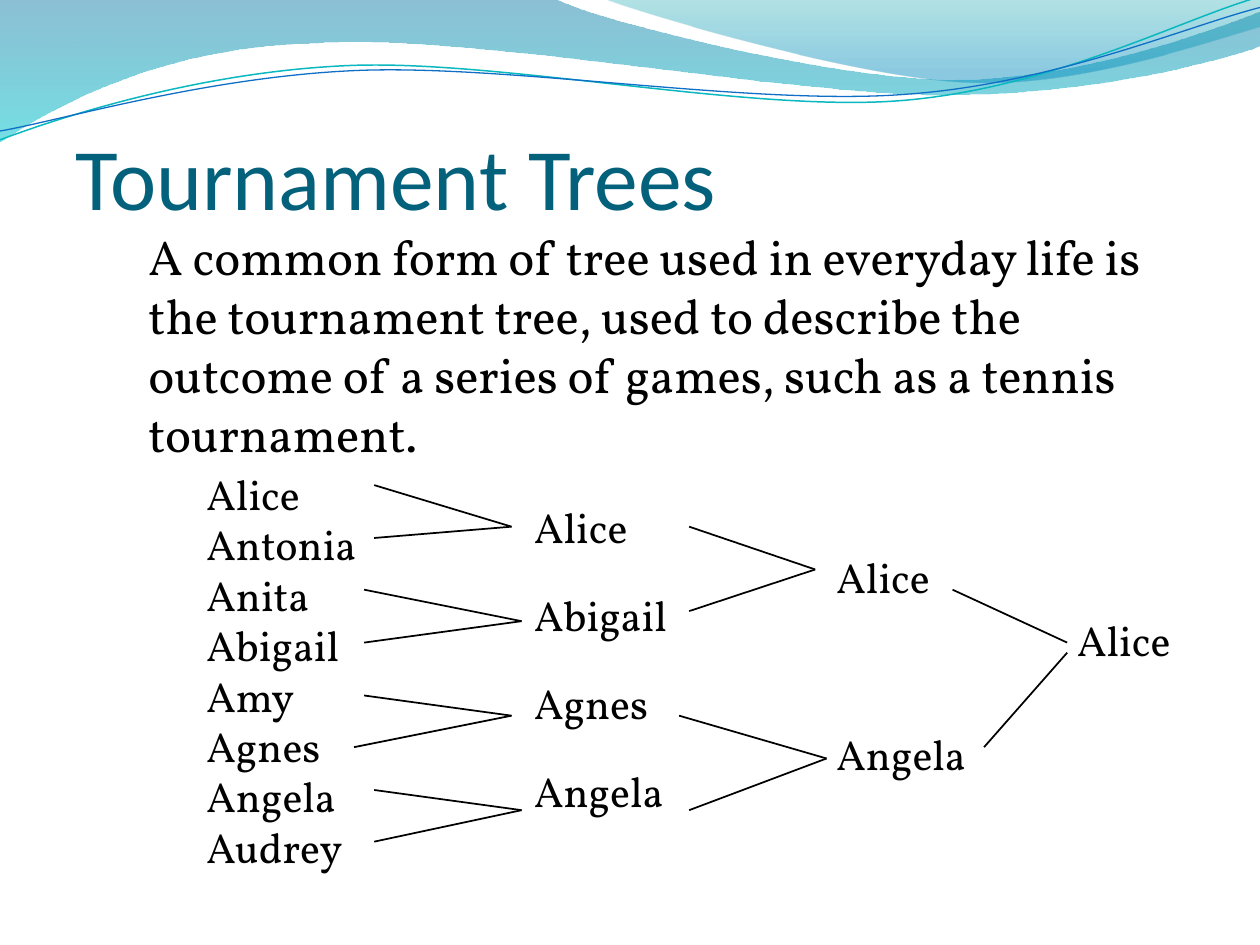
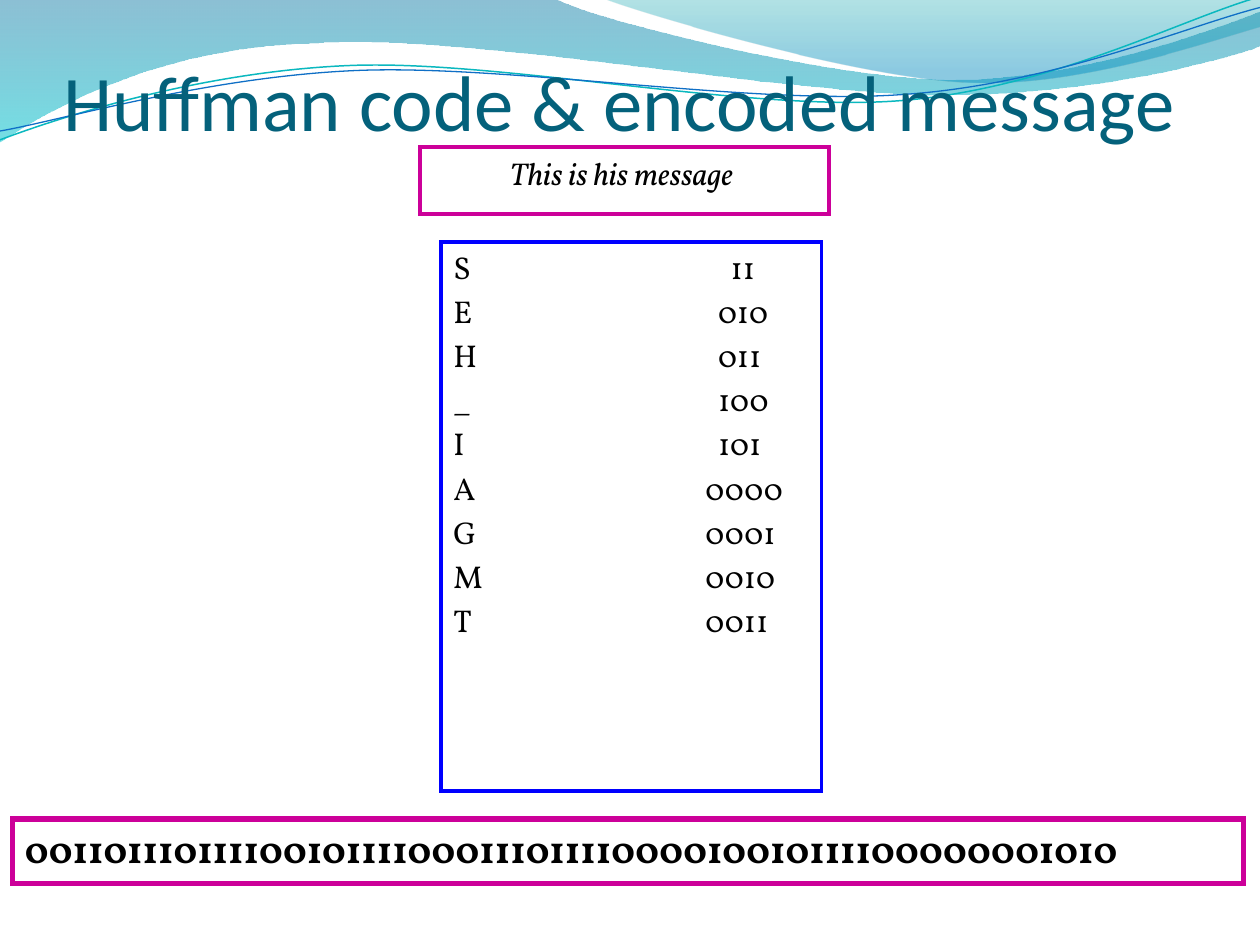
"""Build two slides on tournament trees and Huffman coding."""
import math

import lxml.etree
import pptx
import pptx.dml.color
import pptx.enum.shapes
import pptx.enum.text
import pptx.oxml.ns
import pptx.util

Inches = pptx.util.Inches
Pt = pptx.util.Pt
RGBColor = pptx.dml.color.RGBColor
Anchor = pptx.enum.text.MSO_ANCHOR
Align = pptx.enum.text.PP_ALIGN
qn = pptx.oxml.ns.qn

BLACK = RGBColor(0x00, 0x00, 0x00)
TITLE_TEAL = RGBColor(0x04, 0x61, 0x7B)
FRAME_BLUE = RGBColor(0x00, 0x00, 0xFF)
FRAME_MAGENTA = RGBColor(0xCC, 0x00, 0x99)
STRAND_TEAL = RGBColor(0x0A, 0xB8, 0xBF)
STRAND_BLUE = RGBColor(0x0F, 0x6F, 0xC6)
WAVE_BLUE = RGBColor(0x00, 0x74, 0xA1)
WAVE_CYAN = RGBColor(0x00, 0xC6, 0xCF)
CREST_TEAL = RGBColor(0x00, 0xA1, 0xA9)
CREST_BLUE = RGBColor(0x00, 0x8B, 0xBF)
TITLE_FONT = "Calibri"
BODY_FONT = "Vollkorn"
STRAND_TILT = -2.7

WAVE = [
    [(0, 0)], [(4.4, -0.01)],
    [(4.76, 0.17), (6.64, 0.63), (7.58, 0.63)],
    [(8.53, 0.63), (9.58, 0.26), (10, 0.09)],
    [(10.01, 0.36)],
    [(9.83, 0.44), (8.7, 0.76), (7.46, 0.75)],
    [(6.22, 0.75), (3.82, 0.28), (2.57, 0.34)],
    [(1.29, 0.36), (0.46, 0.83), (-0.01, 1.13)],
]
CREST = [
    [(4.79, -0.01)],
    [(5.09, 0.11), (6.82, 0.62), (7.69, 0.65)],
    [(8.56, 0.69), (9.61, 0.32), (10, 0.21)],
    [(10, 0)],
]
TEAL_STRAND = [
    [(0, 1.11)],
    [(0.48, 0.93), (1.58, 0.57), (2.77, 0.52)],
    [(3.95, 0.47), (5.93, 0.89), (7.13, 0.8)],
    [(8.33, 0.71), (9.38, 0.15), (9.98, -0.02)],
]
BLUE_STRAND = [
    [(0, 1.04)],
    [(0.47, 0.96), (1.64, 0.61), (2.83, 0.56)],
    [(4.03, 0.51), (5.97, 0.84), (7.17, 0.75)],
    [(8.36, 0.67), (9.41, 0.21), (10, 0.06)],
]

INTRO = ("A common form of tree used in everyday life is the tournament tree, "
         "used to describe the outcome of a series of games, such as a tennis "
         "tournament.")
ROUNDS = [
    ((1.54, 3.67, 1.4, 3.3), 0,
     ["Alice", "Antonia", "Anita", "Abigail", "Amy", "Agnes", "Angela", "Audrey"]),
    ((4.14, 3.93, 1.42, 2.78), 21.5, ["Alice", "Abigail", "Agnes", "Angela"]),
    ((6.54, 4.33, 1.26, 1.94), 72.2, ["Alice", "Angela"]),
    ((8.45, 4.83, 0.96, 0.5), 0, ["Alice"]),
]
MATCHES = [
    ((2.97, 3.85), (2.97, 4.27), (4.06, 4.18)),
    ((2.89, 4.68), (2.89, 5.1), (4.14, 4.93)),
    ((2.89, 5.52), (2.81, 5.93), (4.06, 5.68)),
    ((2.97, 6.27), (2.97, 6.68), (4.14, 6.43)),
    ((5.47, 4.18), (5.47, 4.85), (6.47, 4.52)),
    ((5.39, 5.68), (5.47, 6.43), (6.56, 6.02)),
]
FINAL = [((7.56, 4.68), (8.47, 5.1)), ((7.81, 5.93), (8.47, 5.18))]

HUFFMAN_CODES = {
    "S": "11", "E": "010", "H": "011", "_": "100", "I": "101",
    "A": "0000", "G": "0001", "M": "0010", "T": "0011",
}
ENCODED = "00110111011110010111100011101111000010010111100000001010"


def turn(segments, center, degrees):
    """Return the segments turned clockwise around a center."""
    cos, sin = math.cos(math.radians(degrees)), math.sin(math.radians(degrees))
    cx, cy = center
    return [[(cx + (x - cx) * cos - (y - cy) * sin, cy + (x - cx) * sin + (y - cy) * cos)
             for x, y in segment] for segment in segments]


def add_outline(slide, segments, close):
    """Add a freeform whose three-point segments are cubic curves."""
    points = [(Inches(x), Inches(y)) for segment in segments for x, y in segment]
    builder = slide.shapes.build_freeform(*points[0])
    builder.add_line_segments(points[1:], close=close)
    outline = builder.convert_to_shape()
    outline.shadow.inherit = False
    steps = iter(list(outline._element.iter(qn("a:lnTo"))))
    for segment in segments[1:]:
        first, *others = [next(steps) for _ in segment]
        if others:
            first.tag = qn("a:cubicBezTo")
        for step in others:
            first.append(step[0])
            step.getparent().remove(step)
    return outline


def add_band(slide, segments, stops):
    """Add a band with a see-through gradient running downwards."""
    band = add_outline(slide, segments, True)
    band.line.fill.background()
    band.fill.gradient()
    band.fill.gradient_angle = 270
    for stop, (position, color, _) in zip(band.fill.gradient_stops, stops):
        stop.position = position
        stop.color.rgb = color
    for tint, (_, _, opacity) in zip(band._element.iter(qn("a:srgbClr")), stops):
        lxml.etree.SubElement(tint, qn("a:alpha"), val=str(opacity * 1000))


def add_strand(slide, segments, center, color, width):
    """Add a thin curved line, tilted around its center."""
    strand = add_outline(slide, turn(segments, center, -STRAND_TILT), False)
    strand.rotation = STRAND_TILT
    strand.fill.background()
    strand.line.color.rgb = color
    strand.line.width = Pt(width)


def add_header(slide):
    """Draw the waves shared by all slides."""
    add_band(slide, WAVE, [(0, WAVE_BLUE, 45), (1, WAVE_CYAN, 55)])
    add_band(slide, CREST, [(0, CREST_TEAL, 30), (0.8, CREST_BLUE, 45)])
    add_strand(slide, TEAL_STRAND, (4.99, 0.57), STRAND_TEAL, 0.85)
    add_strand(slide, BLUE_STRAND, (5, 0.59), STRAND_BLUE, 0.75)


def write(shape, lines, size, font=BODY_FONT, color=BLACK, gap=0, wrap=True,
          bold=False, italic=False, align=Align.LEFT, anchor=Anchor.TOP):
    """Write one paragraph per line and format it."""
    frame = shape.text_frame
    frame.text = "\n".join(lines)
    frame.word_wrap = wrap
    frame.vertical_anchor = anchor
    for index, paragraph in enumerate(frame.paragraphs):
        paragraph.alignment = align
        paragraph.space_before = Pt(gap if index else 0)
        for run in paragraph.runs:
            run.font.name = font
            run.font.size = Pt(size)
            run.font.bold = bold
            run.font.italic = italic
            run.font.color.rgb = color
    return frame


def add_text(slide, box, lines, size, **style):
    """Add a text box and return its text frame."""
    return write(slide.shapes.add_textbox(*map(Inches, box)), lines, size, **style)


def add_title(slide, box, title, size, anchor):
    """Add a slide title and return its text frame."""
    return add_text(slide, box, [title], size, font=TITLE_FONT,
                    color=TITLE_TEAL, anchor=anchor)


def add_frame(slide, box, color, width, lines, size, **style):
    """Add a sharp-cornered outlined rectangle and return its text frame."""
    frame = slide.shapes.add_shape(pptx.enum.shapes.MSO_SHAPE.RECTANGLE,
                                   *map(Inches, box))
    frame.shadow.inherit = False
    frame.fill.background()
    frame.line.color.rgb = color
    frame.line.width = Pt(width)
    border = frame._element.spPr.find(qn("a:ln"))
    lxml.etree.SubElement(border, qn("a:miter"), lim="800000")
    return write(frame, lines, size, **style)


def add_branch(slide, start, end):
    """Add a thin black line of the tournament tree."""
    branch = slide.shapes.add_connector(pptx.enum.shapes.MSO_CONNECTOR.STRAIGHT,
                                        *map(Inches, start + end))
    branch.line.color.rgb = BLACK
    branch.line.width = Pt(1)
    lxml.etree.SubElement(branch._element.spPr, qn("a:effectLst"))


def set_tab(paragraph, position):
    """Give a paragraph one left tab stop."""
    tabs = lxml.etree.SubElement(paragraph._p.get_or_add_pPr(), qn("a:tabLst"))
    lxml.etree.SubElement(tabs, qn("a:tab"), pos=str(Inches(position)), algn="l")


def build_tournament(slide):
    """Fill the slide on tournament trees."""
    add_header(slide)
    add_title(slide, (0.5, 0.77, 9.08, 1.25), "Tournament Trees", 50, Anchor.MIDDLE)
    add_text(slide, (1.08, 1.75, 8.5, 1.97), [INTRO], 28)
    for box, gap, players in ROUNDS:
        add_text(slide, box, players, 24, gap=gap, wrap=False)
    for first, second, winner in MATCHES:
        add_branch(slide, first, winner)
        add_branch(slide, second, winner)
    for start, end in FINAL:
        add_branch(slide, start, end)


def build_huffman(slide):
    """Fill the slide on the Huffman code."""
    add_header(slide)
    title = add_title(slide, (0.5, 0.77, 9.08, 0.4),
                      "Huffman code & encoded message", 45, Anchor.BOTTOM)
    title.margin_left = title.margin_right = title.margin_bottom = 0
    rows = [f"{letter}\t{code}" for letter, code in HUFFMAN_CODES.items()]
    table = add_frame(slide, (3.5, 1.92, 3.02, 4.36), FRAME_BLUE, 2.25, rows, 18, gap=3.6)
    for paragraph, code in zip(table.paragraphs, HUFFMAN_CODES.values()):
        set_tab(paragraph, 2 + 0.1 * (4 - len(code)))
    add_frame(slide, (3.33, 1.17, 3.25, 0.53), FRAME_MAGENTA, 2.25,
              ["This is his message "], 18, wrap=False, italic=True, align=Align.CENTER)
    add_frame(slide, (0.1, 6.5, 9.77, 0.51), FRAME_MAGENTA, 3, [ENCODED], 22, bold=True)


def main():
    """Build and save the presentation."""
    deck = pptx.Presentation()
    deck.slide_width, deck.slide_height = Inches(10), Inches(7.5)
    for build in (build_tournament, build_huffman):
        build(deck.slides.add_slide(deck.slide_layouts[6]))
    deck.save("out.pptx")


if __name__ == "__main__":
    main()
